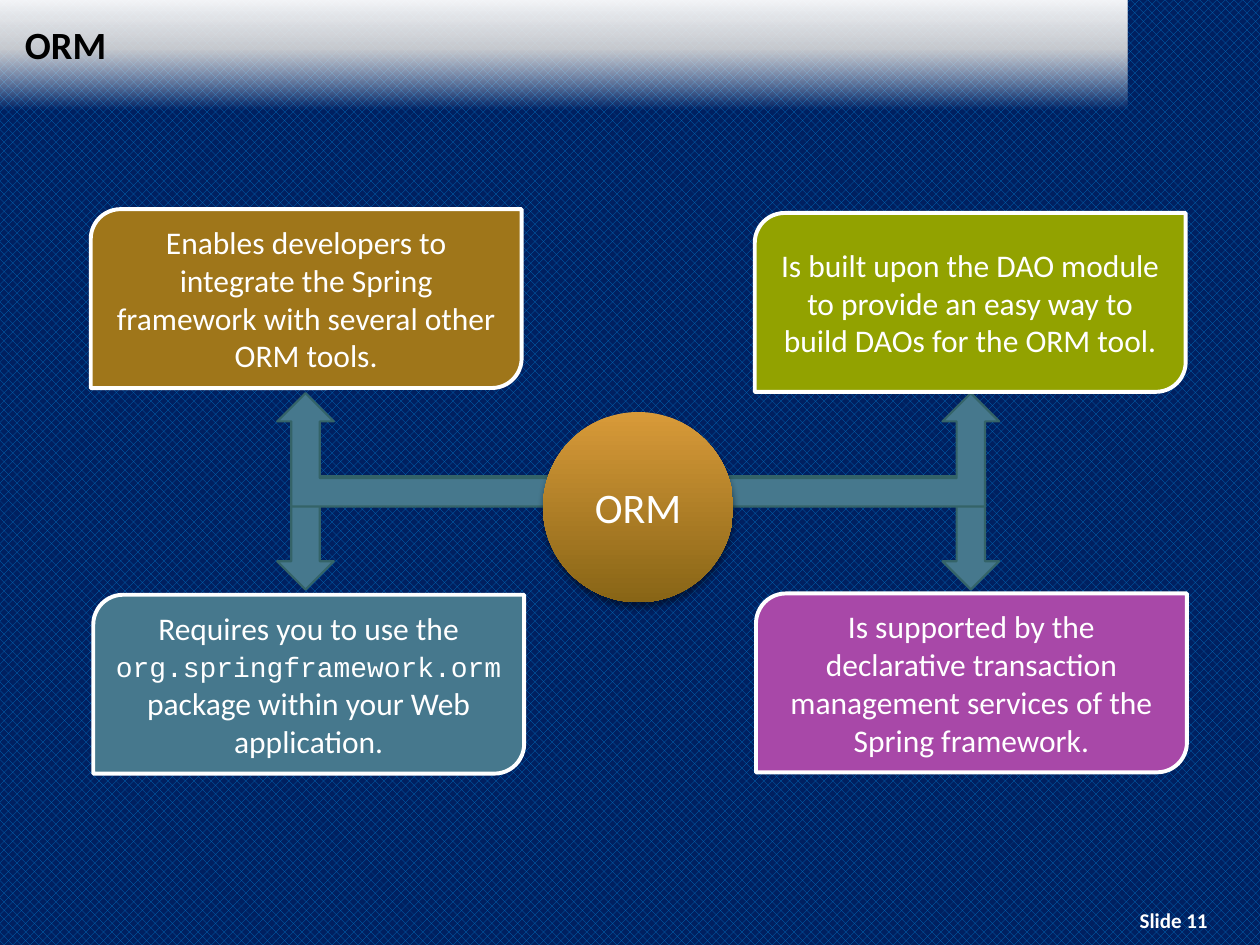
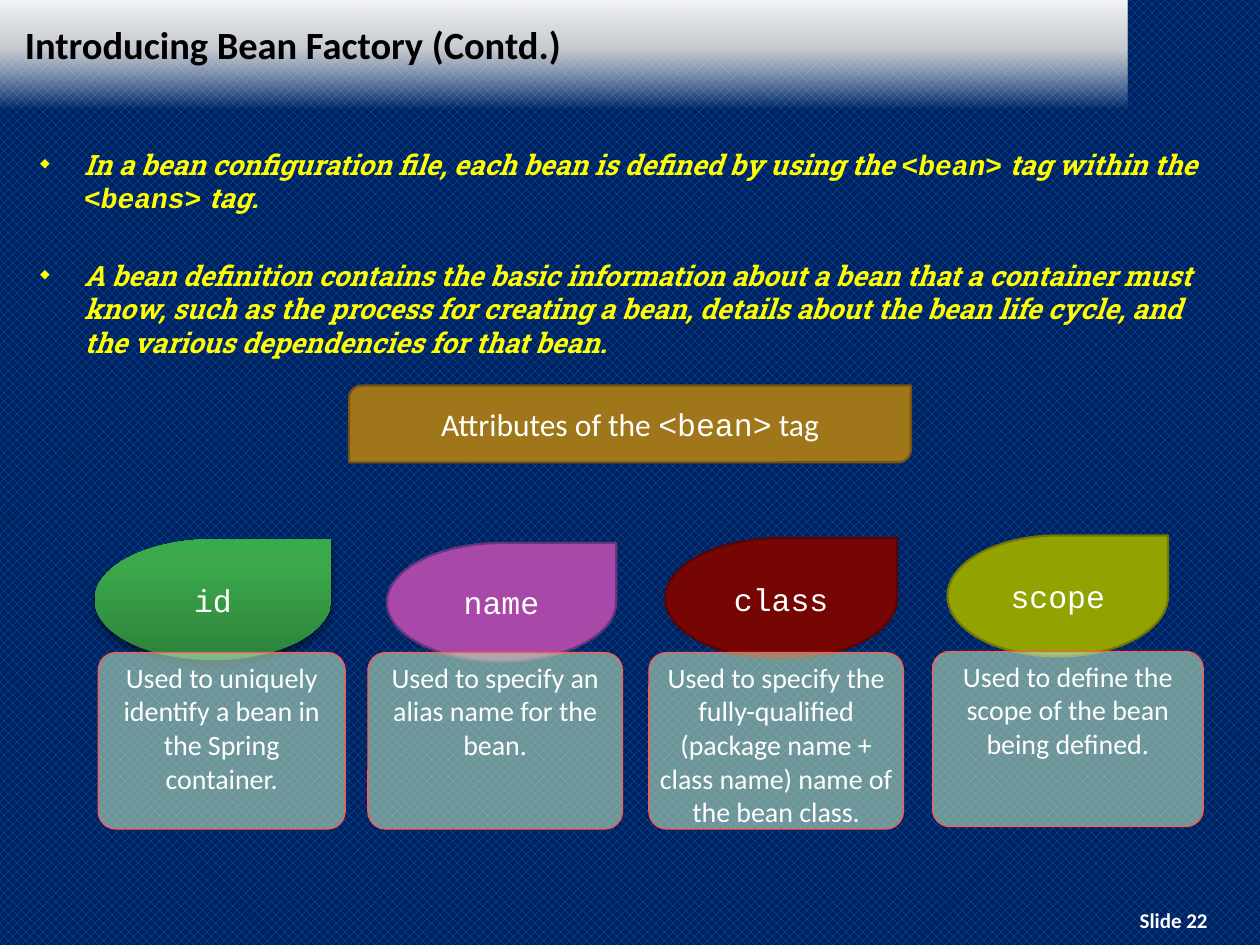
"""Build two slides on ORM and the bean factory of the Spring framework."""
from pptx import Presentation
from pptx.dml.color import RGBColor
from pptx.enum.dml import MSO_PATTERN
from pptx.enum.shapes import MSO_SHAPE as Kind
from pptx.enum.text import MSO_ANCHOR as Anchor, PP_ALIGN as Align
from pptx.oxml import parse_xml
from pptx.oxml.ns import nsdecls, qn
from pptx.util import Inches, Pt

rgb = RGBColor.from_string
NS = nsdecls("a")
SANS, MONO, SLAB = "Calibri", "Courier New", "Roboto Slab"
WHITE, BLACK, YELLOW = "FFFFFF", "000000", "FFFF00"
GOLD, OLIVE, PLUM, TEAL, WINE = "9F761A", "92A200", "A848A8", "46788D", "760603"
SHADE = (f'<a:outerShdw {NS} blurRad="50800" dist="38100" dir="5400000">'
         '<a:srgbClr val="000000"><a:alpha val="46000"/></a:srgbClr></a:outerShdw>')


def draw(slide, kind, at, fill, line=None, width=1.25, angle=90, shade=False):
    """Add a shape with a plain fill or a list of (place, colour, opacity) stops."""
    shape = slide.shapes.add_shape(kind, *map(Inches, at))
    shape.shadow.inherit = False
    props = shape._element.spPr
    if isinstance(fill, str):
        shape.fill.solid()
        shape.fill.fore_color.rgb = rgb(fill)
    else:
        stops = "".join(
            f'<a:gs pos="{pos * 1000}"><a:srgbClr val="{tone}">'
            f'<a:alpha val="{part * 1000}"/></a:srgbClr></a:gs>'
            for pos, tone, part in fill)
        shape.fill.background()
        props.replace(props.find(qn("a:noFill")), parse_xml(
            f'<a:gradFill {NS} rotWithShape="1"><a:gsLst>{stops}</a:gsLst>'
            f'<a:lin ang="{angle * 60000}" scaled="0"/></a:gradFill>'))
    if line:
        shape.line.color.rgb = rgb(line)
        shape.line.width = Pt(width)
    else:
        shape.line.fill.background()
    if shade:
        props.find(qn("a:effectLst")).append(parse_xml(SHADE))
    return shape


def write(para, text, size, tone=WHITE, name=SANS, bold=None, code=None, align=Align.CENTER):
    """Fill a paragraph; parts between backticks are set as code."""
    para.alignment = align
    font = para.font
    font.size, font.bold, font.color.rgb = Pt(size), bold, rgb(tone)
    parts = text.split("`")
    if len(parts) == 1:
        font.name = name
    for i, part in enumerate(parts):
        run = para.add_run()
        run.text = part
        if len(parts) > 1:
            run.font.name = MONO if i % 2 else name
        if i % 2 and code:
            run.font.size = Pt(code)


deck = Presentation()
deck.slide_width, deck.slide_height = Inches(10), Inches(7.5)

slides = []
for title, num in (("ORM", 11), ("Introducing Bean Factory (Contd.)", 22)):
    slide = deck.slides.add_slide(deck.slide_layouts[6])
    back = slide.background.fill
    back.patterned()
    back.pattern = MSO_PATTERN.PERCENT_50
    back.fore_color.rgb, back.back_color.rgb = rgb("0070C0"), rgb("002060")
    draw(slide, Kind.RECTANGLE, (0, -0.01, 8.95, 0.88),
         [(0, WHITE, 0), (54, "D9D9D9", 90), (100, WHITE, 95)], angle=270)
    for at, text, size, tone, align in (
            ((8.73, 7.15, 1.17, 0.3), f"Slide {num}", 12, WHITE, Align.CENTER),
            ((0.1, 0.09, 8.77, 0.52), title, 22, BLACK, Align.LEFT)):
        frame = slide.shapes.add_textbox(*map(Inches, at)).text_frame
        frame.word_wrap = True
        frame.vertical_anchor = Anchor.MIDDLE
        write(frame.paragraphs[0], text, size, tone, bold=True, align=align)
    slides.append(slide)
orm, bean = slides

for left, flip in ((2.2, True), (5.78, False)):
    for top, down in ((3.78, True), (3.12, False)):
        arrow = draw(orm, Kind.BENT_UP_ARROW, (left, top, 2.15, 0.9), TEAL, "346368")
        frame = arrow._element.spPr.find(qn("a:xfrm"))
        if flip:
            frame.set("flipH", "1")
        if down:
            frame.set("flipV", "1")

hub = draw(orm, Kind.OVAL, (4.31, 3.27, 1.51, 1.51),
           [(0, "D89A39", 100), (100, "886516", 100)], shade=True)
write(hub.text_frame.paragraphs[0], "ORM", 24)

for left, top, fill, text in (
        (0.72, 1.66, GOLD, "Enables developers to integrate the Spring framework "
                           "with several other ORM tools."),
        (5.99, 1.69, OLIVE, "Is built upon the DAO module to provide an easy way "
                            "to build DAOs for the ORM tool."),
        (6, 4.71, PLUM, "Is supported by the declarative transaction management "
                        "services of the Spring framework."),
        (0.74, 4.72, TEAL, "Requires you to use the `org.springframework.orm` "
                           "package within your Web application.")):
    box = draw(orm, Kind.ROUND_2_DIAG_RECTANGLE, (left, top, 3.42, 1.42), fill, WHITE, 2.25)
    write(box.text_frame.paragraphs[0], text, 18, code=16)

body = bean.shapes.add_textbox(*map(Inches, (0.19, 1.12, 9.61, 1.82))).text_frame
body.word_wrap = True
for i, text in enumerate((
        "In a bean configuration file, each bean is defined by using the `<bean>` tag "
        "within the `<beans>` tag.",
        "A bean definition contains the basic information about a bean that a container "
        "must know, such as the process for creating a bean, details about the bean life "
        "cycle, and the various dependencies for that bean.")):
    para = body.add_paragraph() if i else body.paragraphs[0]
    props = para._p.get_or_add_pPr()
    props.set("marL", str(Inches(0.38)))
    props.set("indent", str(Inches(-0.35)))
    for mark in (f'<a:buClr {NS}><a:srgbClr val="{YELLOW}"/></a:buClr>',
                 f'<a:buSzPct {NS} val="45000"/>',
                 f'<a:buChar {NS} char="◆"/>'):
        props.append(parse_xml(mark))
    write(para, text, 16, YELLOW, SLAB, True, align=Align.LEFT)
    para.font.italic = True
    if i:
        para.space_before = Pt(25)

head = draw(bean, Kind.ROUND_2_DIAG_RECTANGLE, (2.77, 3.06, 4.46, 0.61), GOLD, "765313")
write(head.text_frame.paragraphs[0], "Attributes of the `<bean>` tag", 18)

GREEN = [(0, "2D823A", 100), (80, "3BA94B", 100), (100, "39AC4A", 100)]
for word, drop, fill, line, card, text in (
        ("id", (0.75, 4.28, 1.88, 0.96), GREEN, None, (0.78, 5.18, 1.96, 1.4),
         "Used to uniquely identify a bean in the Spring container."),
        ("name", (3.07, 4.31, 1.82, 0.94), PLUM, "67357C", (2.92, 5.18, 2.02, 1.4),
         "Used to specify an alias name for the bean."),
        ("class", (5.28, 4.27, 1.84, 0.96), WINE, "570402", (5.15, 5.18, 2.02, 1.4),
         "Used to specify the fully-qualified (package name + class name) name of "
         "the bean class."),
        ("scope", (7.52, 4.25, 1.75, 0.96), OLIVE, "747800", (7.4, 5.17, 2.15, 1.39),
         "Used to define the scope of the bean being defined.")):
    tear = draw(bean, Kind.TEAR, drop, fill, line, angle=270, shade=line is None)
    write(tear.text_frame.paragraphs[0], word, 18, name=MONO)
    note = draw(bean, Kind.ROUNDED_RECTANGLE, card, "B4DCBA", "FB5954", 0.75)
    note.adjustments[0] = 0.1
    tint = note._element.spPr.find(qn("a:solidFill"))[0]
    tint.append(parse_xml(f'<a:alpha {NS} val="62000"/>'))
    frame = note.text_frame
    frame.vertical_anchor = Anchor.TOP
    frame.margin_left = frame.margin_right = Inches(0.03)
    frame.margin_top = frame.margin_bottom = Inches(0.02)
    write(frame.paragraphs[0], text, 16)

deck.save("out.pptx")
